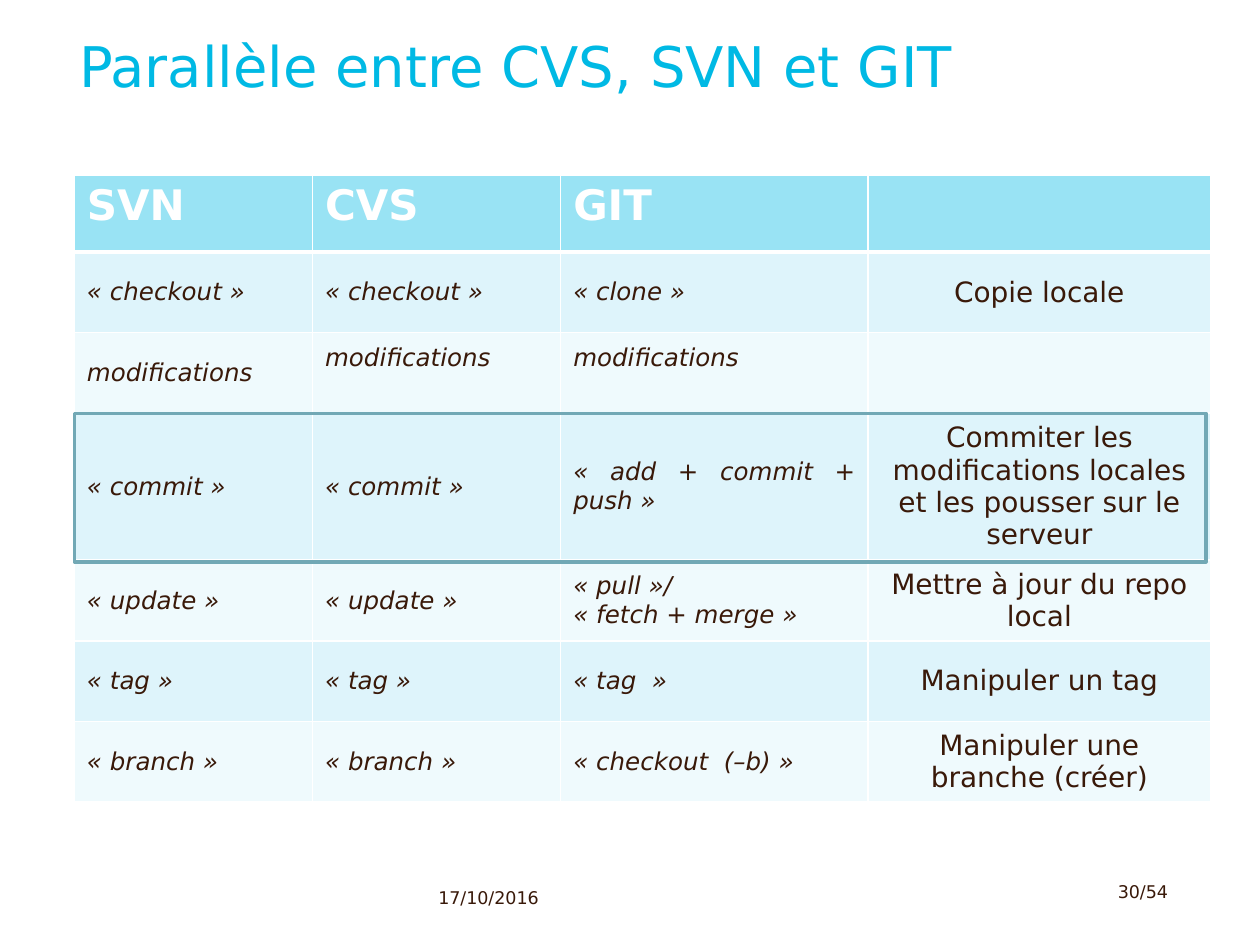
from lxml.etree import SubElement
from pptx import Presentation
from pptx.dml.color import RGBColor
from pptx.enum.shapes import MSO_SHAPE
from pptx.enum.text import MSO_ANCHOR, PP_ALIGN
from pptx.oxml.ns import qn
from pptx.util import Inches, Pt

FONT = "DejaVu Sans"
CYAN = RGBColor(0x00, 0xB9, 0xE4)
BROWN = RGBColor(0x39, 0x19, 0x09)
WHITE = RGBColor(0xFF, 0xFF, 0xFF)
HEADER_FILL = RGBColor(0x99, 0xE3, 0xF4)
BAND_FILLS = [RGBColor(0xDE, 0xF4, 0xFB), RGBColor(0xEF, 0xFA, 0xFD)]
FRAME = RGBColor(0x71, 0xA8, 0xB5)

TITLE = "Parallèle entre CVS, SVN et GIT"
DATE = "17/10/2016"
PAGE = "30/54"
HEADERS = ["SVN", "CVS", "GIT", ""]
ROWS = [
    ["« checkout »", "« checkout »", "« clone »", "Copie locale"],
    ["modifications", "modifications", "modifications", ""],
    ["« commit »", "« commit »", "« add + commit + push »",
     "Commiter les modifications locales et les pousser sur le serveur"],
    ["« update »", "« update »", "« pull »/ \n« fetch + merge »",
     "Mettre à jour du repo local"],
    ["« tag »", "« tag »", "« tag  »", "Manipuler un tag"],
    ["« branch »", "« branch »", "« checkout  (–b) »",
     "Manipuler une branche (créer)"],
]
COL_WIDTHS = [1.89, 1.97, 2.44, 2.72]
ROW_HEIGHTS = [0.61, 0.64, 0.64, 1.14, 0.64, 0.64, 0.64]
RAISED_CELLS = [(2, 1), (2, 2)]  # sit half a line above the middle


def write(tf, text, size, color, align=PP_ALIGN.LEFT, bold=False, italic=False):
    for i, line in enumerate(text.split("\n")):
        p = tf.paragraphs[0] if i == 0 else tf.add_paragraph()
        p.alignment = align
        if not line:
            continue
        r = p.add_run()
        r.text = line
        r.font.name, r.font.size = FONT, Pt(size)
        r.font.bold, r.font.italic = bold, italic
        r.font.color.rgb = color


def add_text(s, box, text, size, color, align=PP_ALIGN.LEFT, inset=True, wrap=True):
    tf = s.shapes.add_textbox(*map(Inches, box)).text_frame
    tf.word_wrap = wrap
    if not inset:
        tf.margin_left = tf.margin_right = tf.margin_top = tf.margin_bottom = 0
    write(tf, text, size, color, align)


def set_borders(cell, bottom):
    tc_pr = cell._tc.get_or_add_tcPr()
    for side, width in (("L", 1), ("R", 1), ("T", 1), ("B", bottom)):
        ln = SubElement(tc_pr, qn(f"a:ln{side}"), w=str(Pt(width)))
        fill = SubElement(ln, qn("a:solidFill"))
        SubElement(fill, qn("a:srgbClr"), val=str(WHITE))


def add_commands_table(s):
    table = s.shapes.add_table(
        len(ROW_HEIGHTS), len(COL_WIDTHS), Inches(0.59), Inches(1.39),
        Inches(sum(COL_WIDTHS)), Inches(sum(ROW_HEIGHTS))).table
    for column, width in zip(table.columns, COL_WIDTHS):
        column.width = Inches(width)
    for row, height in zip(table.rows, ROW_HEIGHTS):
        row.height = Inches(height)

    for i, texts in enumerate([HEADERS] + ROWS):
        for j, text in enumerate(texts):
            cell = table.cell(i, j)
            header = i == 0
            set_borders(cell, 3 if header else 1)
            cell.fill.solid()
            cell.fill.fore_color.rgb = HEADER_FILL if header else BAND_FILLS[(i - 1) % 2]
            if header:
                write(cell.text_frame, text, 24, WHITE, PP_ALIGN.JUSTIFY, bold=True)
                continue
            cell.vertical_anchor = MSO_ANCHOR.MIDDLE
            if (i, j) in RAISED_CELLS:
                cell.margin_bottom = Inches(0.28)
            if j == len(texts) - 1:
                write(cell.text_frame, text, 16, BROWN, PP_ALIGN.CENTER)
            else:
                write(cell.text_frame, text, 14, BROWN, PP_ALIGN.JUSTIFY, italic=True)


def main():
    prs = Presentation()
    prs.slide_width, prs.slide_height = Inches(10), Inches(7.5)
    s = prs.slides.add_slide(prs.slide_layouts[6])

    add_text(s, (0.63, 0.25, 8.75, 1.25), TITLE, 32, CYAN, inset=False)
    add_commands_table(s)
    add_text(s, (3.38, 6.99, 1.18, 0.35), DATE, 10, BROWN)

    frame = s.shapes.add_shape(
        MSO_SHAPE.RECTANGLE, Inches(0.59), Inches(3.28), Inches(8.98), Inches(1.18))
    frame.shadow.inherit = False
    frame.fill.background()
    frame.line.color.rgb = FRAME
    frame.line.width = Pt(2)

    add_text(s, (7.85, 6.99, 1.42, 0.35), PAGE, 10, BROWN, PP_ALIGN.RIGHT,
             inset=False, wrap=False)
    prs.save("out.pptx")


if __name__ == "__main__":
    main()
